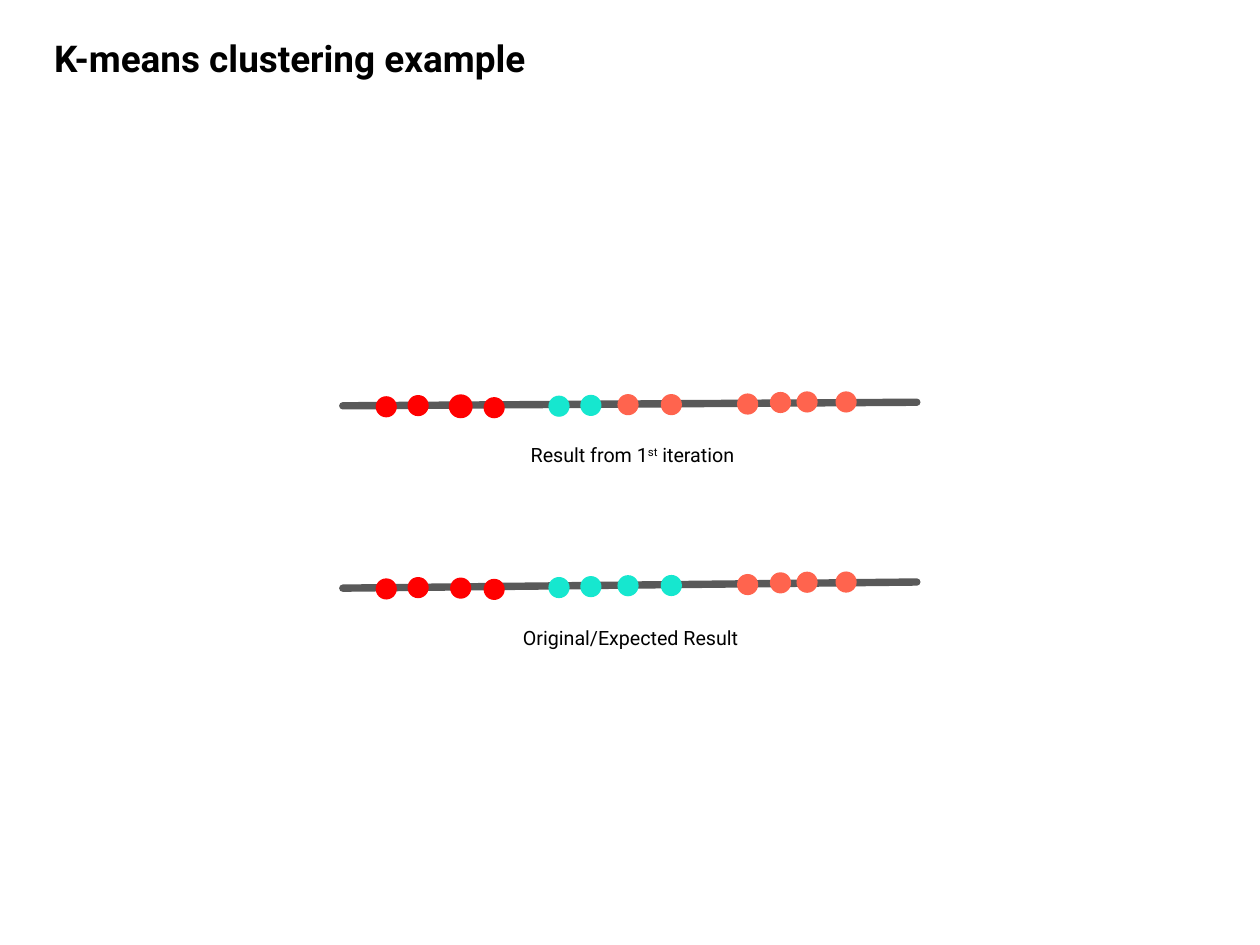
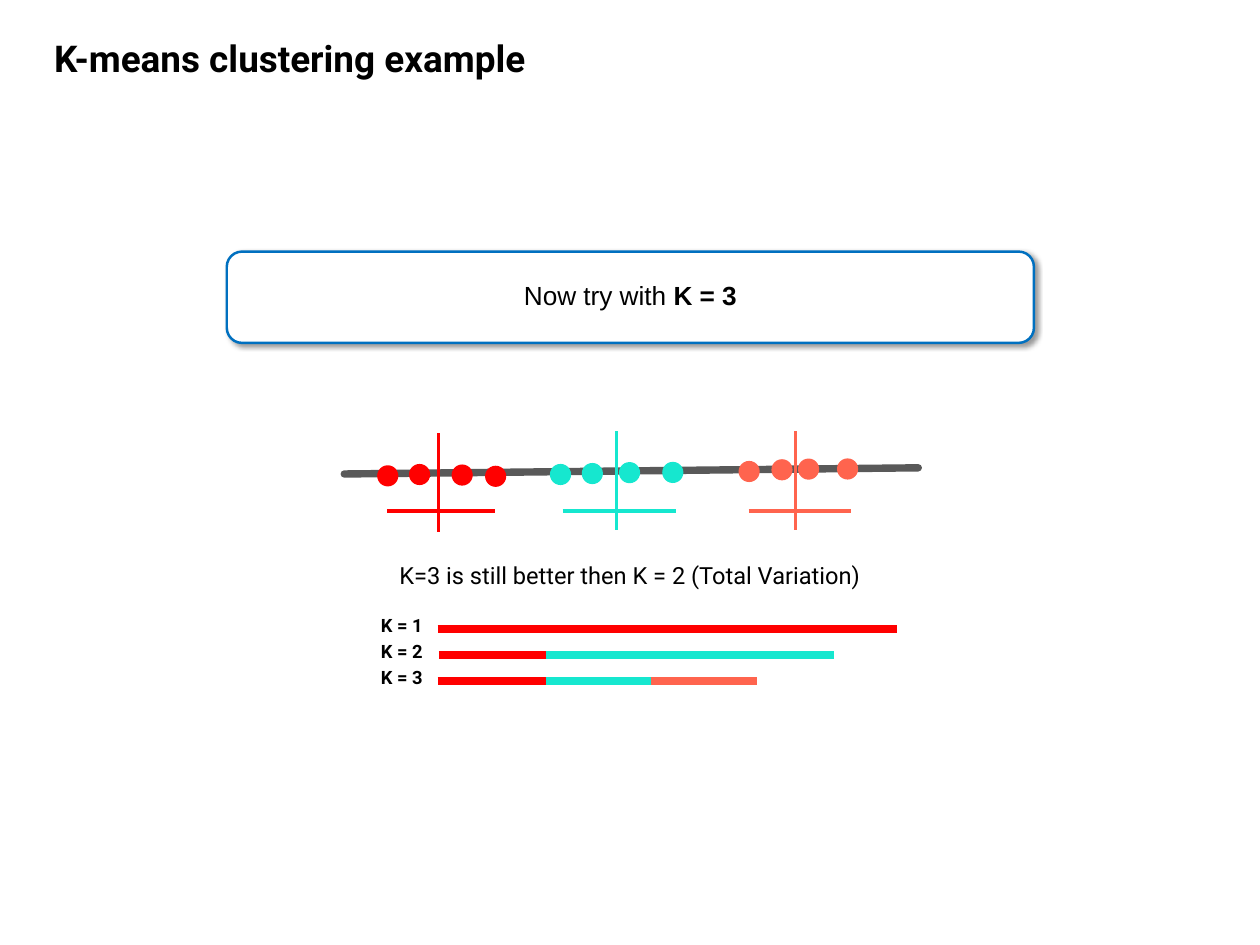
from lxml.etree import SubElement
from pptx import Presentation
from pptx.dml.color import RGBColor
from pptx.enum.shapes import MSO_CONNECTOR, MSO_SHAPE
from pptx.enum.text import MSO_ANCHOR, MSO_AUTO_SIZE, PP_ALIGN
from pptx.oxml.ns import qn
from pptx.util import Pt

# Shared style
RED, TEAL, CORAL = "FF0000", "16E7CF", "FF644E"
GREY, BLUE, BLACK, WHITE = "595959", "0070C0", "000000", "FFFFFF"
TITLE = "K-means clustering example"
DOT = 17.2
SPAN = 466.5

# Dots on a number line: centre from the line's left end, drop below the line
DOTS = [(35.3, 1), (61.2, 0.2), (95.8, 1), (123, 2.3),
        (175.7, 1.4), (201.6, 0.9), (231.8, 0.5), (267, 0.7),
        (329, 0.6), (355.7, -0.5), (377.3, -0.8), (409, -0.6)]
FIRST = [RED] * 4 + [TEAL] * 2 + [CORAL] * 6
FINAL = [RED] * 4 + [TEAL] * 4 + [CORAL] * 4

# Slide 1: line start, rise to the right, dot colours, big dots
ROWS = [(278.6, 329.8, 2.9, FIRST, {2}), (278.6, 478, 5, FINAL, set())]
# Captions: box, then (text, raised) runs
NOTES = [((386, 507, 253, 24.5), [("Original/Expected Result", False)]),
         ((379.5, 358.6, 269, 24.5),
          [("Result from 1", False), ("st", True), (" iteration", False)])]

# Slide 2: centroid x and top, then the spread's left and right ends
CROSSES = [(RED, 356.4, 352, 314.6, 402.5),
           (TEAL, 501.1, 350.6, 457.2, 549.4),
           (CORAL, 646.6, 350.6, 608.4, 691.9)]
BARS = [("K = 1", [355.7, 729.4]),
        ("K = 2", [356.7, 443.5, 677.5]),
        ("K = 3", [355.7, 443.5, 529, 615.6])]


def color(code):
    return RGBColor.from_string(code)


def style(para, size, font="Roboto", bold=None, align=PP_ALIGN.CENTER):
    para.alignment, para.line_spacing = align, 0.9
    para.font.size, para.font.name = Pt(size), font
    para.font.bold = bold
    para.font.color.rgb = color(BLACK)


def place(shape, box):
    shape.left, shape.top, shape.width, shape.height = map(Pt, box)


def line(shapes, x1, y1, x2, y2, code, width):
    link = shapes.add_connector(
        MSO_CONNECTOR.STRAIGHT, Pt(x1), Pt(y1), Pt(x2), Pt(y2))
    link.line.color.rgb, link.line.width = color(code), Pt(width)
    SubElement(link._element.spPr, qn("a:effectLst"))
    return link


def label(slide, box, runs, size, bold=None):
    frame = slide.shapes.add_textbox(*map(Pt, box)).text_frame
    frame.word_wrap = True
    para = frame.paragraphs[0]
    style(para, size, bold=bold)
    for text, raised in runs:
        run = para.add_run()
        run.text = text
        if raised:
            run.font._element.set("baseline", "30000")


def number_line(slide, x, y, rise, codes, big=(), shift=0):
    group = slide.shapes.add_group_shape().shapes
    axis = line(group, x, y, x + SPAN, y - rise, GREY, 6)
    axis.line._get_or_add_ln().set("cap", "rnd")
    for i, ((dx, drop), code) in enumerate(zip(DOTS, codes)):
        mid = y - rise * dx / SPAN + drop + shift
        dot = group.add_shape(MSO_SHAPE.OVAL, Pt(x + dx - DOT / 2),
                              Pt(mid - DOT / 2), Pt(DOT), Pt(DOT))
        dot.shadow.inherit = False
        dot.fill.solid()
        dot.fill.fore_color.rgb = color(code)
        if i in big:
            dot.line.color.rgb, dot.line.width = color(code), Pt(2.25)
        else:
            dot.line.fill.background()


def banner(slide, box, runs):
    card = slide.shapes.add_shape(MSO_SHAPE.ROUNDED_RECTANGLE, *map(Pt, box))
    card.fill.solid()
    card.fill.fore_color.rgb = color(WHITE)
    card.line.color.rgb, card.line.width = color(BLUE), Pt(2)
    # Soft shadow to the lower right
    card.shadow.inherit = False
    glow = SubElement(card._element.spPr.find(qn("a:effectLst")),
                      qn("a:outerShdw"), blurRad=str(Pt(4)), dist=str(Pt(3)),
                      dir="2700000", algn="tl", rotWithShape="0")
    shade = SubElement(glow, qn("a:srgbClr"), val=BLACK)
    SubElement(shade, qn("a:alpha"), val="40000")
    card.text_frame.vertical_anchor = MSO_ANCHOR.MIDDLE
    para = card.text_frame.paragraphs[0]
    style(para, 21.3, "Arial")
    for text, bold in runs:
        run = para.add_run()
        run.text, run.font.bold = text, bold


def new_slide(deck):
    slide = deck.slides.add_slide(deck.slide_layouts[5])
    title = slide.shapes.title
    place(title, (36.7, 29.5, 528.5, 40.3))
    frame = title.text_frame
    frame.text, frame.word_wrap = TITLE, True
    frame.auto_size = MSO_AUTO_SIZE.NONE
    frame.vertical_anchor = MSO_ANCHOR.TOP
    style(frame.paragraphs[0], 30, bold=True, align=PP_ALIGN.LEFT)
    return slide


def compare(deck):
    slide = new_slide(deck)
    for row in ROWS:
        number_line(slide, *row)
    for box, runs in NOTES:
        label(slide, box, runs, 16)


def three(deck):
    slide = new_slide(deck)
    banner(slide, (184.3, 204.5, 656, 74.2),
           [("Now try with ", False), ("K = 3", True)])
    number_line(slide, 279.8, 385.2, 5, FINAL, shift=0.9)

    # Centroids and spreads
    for code, x, top, left, right in CROSSES:
        line(slide.shapes, x, top, x, top + 80, code, 3)
        line(slide.shapes, left, 415.4, right, 415.4, code, 3)

    # Total variation bars
    label(slide, (309.6, 455, 404.6, 28),
          [("K=3 is still better then K = 2 (Total Variation)", False)], 19.2)
    for i, (name, ends) in enumerate(BARS):
        y = 511.2 + 21.2 * i
        label(slide, (295.2, y - 13.5, 62.6, 23.8), [(name, False)], 14.9, True)
        for x1, x2, code in zip(ends, ends[1:], (RED, TEAL, CORAL)):
            line(slide.shapes, x1, y, x2, y, code, 6)


def main():
    deck = Presentation()
    deck.slide_width, deck.slide_height = Pt(1024), Pt(768)
    compare(deck)
    three(deck)
    deck.save("out.pptx")


if __name__ == "__main__":
    main()
